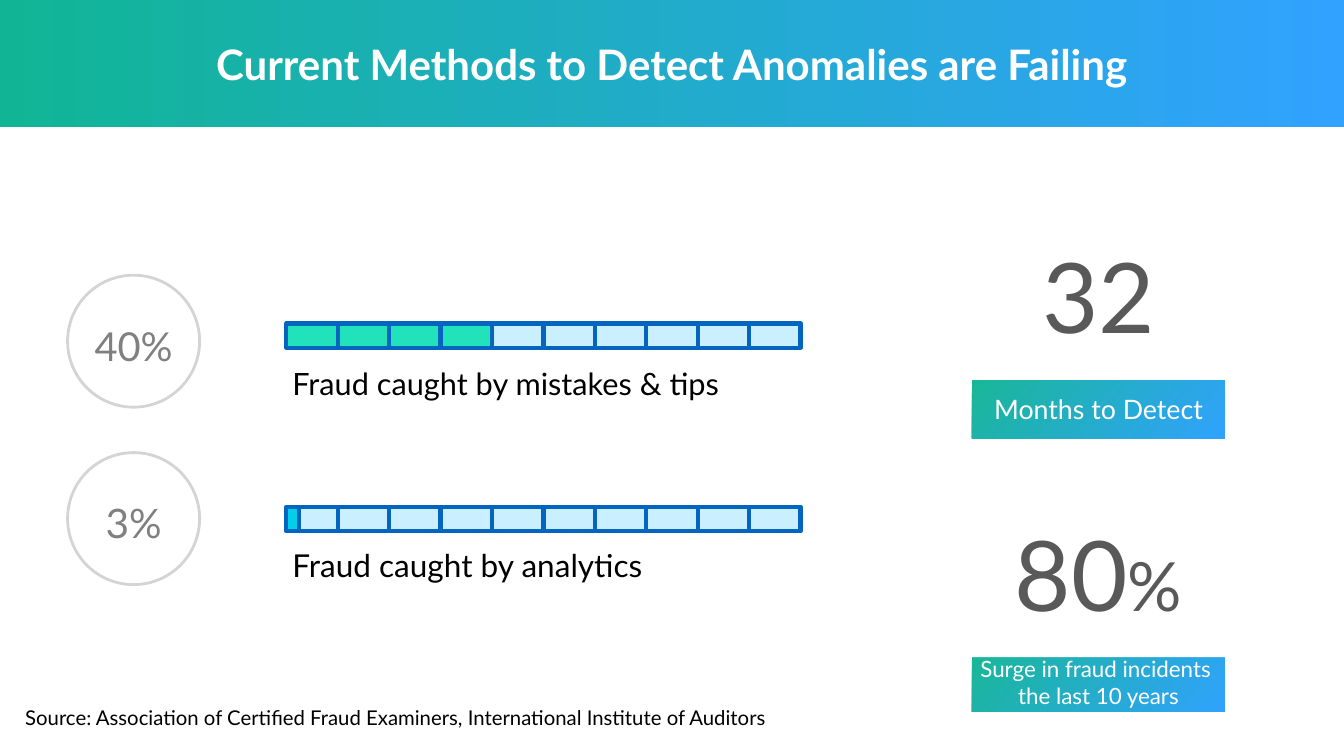
from dataclasses import dataclass

from lxml import etree
from pptx import Presentation, util as u
from pptx.dml.color import RGBColor
from pptx.enum import shapes as kinds, text as txt
from pptx.oxml import ns


@dataclass(frozen=True)
class Theme:
    font: str = "Lato"
    white: str = "FFFFFF"
    black: str = "000000"
    percent_grey: str = "808080"
    figure_grey: str = "595959"
    bar_line: str = "0365C0"
    bar_empty: str = "CAF0FF"
    caught_by_tips: str = "22E2BC"
    caught_by_analytics: str = "04CFEB"
    title_ends: tuple[str, str] = ("11B595", "31A2FF")
    label_ends: tuple[str, str] = ("19B798", "30A2FD")
    title_size: float = 30
    figure_size: float = 69.5
    unit_size: float = 48.5
    source_size: float = 14.5


@dataclass(frozen=True)
class Box:
    left: float
    top: float
    width: float
    height: float

    def inches(self) -> list[u.Length]:
        return [u.Inches(v) for v in (self.left, self.top, self.width, self.height)]


@dataclass(frozen=True)
class Detection:
    percent: str
    percent_size: float
    circle_top: float
    bar_top: float
    filled_cells: float
    color: str
    caption: str
    caption_size: float
    caption_box: Box


@dataclass(frozen=True)
class Statistic:
    figure: str
    unit: str
    figure_top: float
    label_top: float
    label_lines: tuple[str, ...]
    label_size: float


THEME = Theme()
CELLS, CELL_WIDTH, CELL_HEIGHT, BAR_LEFT = 10, 0.51, 0.24, 2.84
CIRCLE_LEFT, CIRCLE_SIZE = 0.67, 1.31
STAT_LEFT, STAT_WIDTH, FIGURE_HEIGHT, LABEL_HEIGHT = 9.64, 2.51, 1.47, 0.58

DETECTIONS = (
    Detection("40%", 28.5, 2.73, 3.21, 4, THEME.caught_by_tips,
              "Fraud caught by mistakes & tips", 21.9, Box(2.86, 3.45, 4.78, 0.7)),
    Detection("3%", 29, 4.49, 5.03, 0.25, THEME.caught_by_analytics,
              "Fraud caught by analytics", 22.5, Box(2.86, 5.29, 4.67, 0.62)),
)
STATISTICS = (
    Statistic("32", "", 2.3, 3.77, ("Months to Detect",), 19.1),
    Statistic("80", "%", 5.05, 6.48, ("Surge in fraud incidents ", "the last 10 years"), 16),
)


def rgb(color: str) -> RGBColor:
    return RGBColor.from_string(color)


def add_plain(shapes, kind, box: Box):
    shape = shapes.add_shape(kind, *box.inches())
    shape.shadow.inherit = False
    shape.line.fill.background()
    return shape


def fill_solid(shape, color: str) -> None:
    shape.fill.solid()
    shape.fill.fore_color.rgb = rgb(color)


def fill_gradient(shape, ends: tuple[str, str], clockwise: int) -> None:
    shape.fill.gradient()
    shape.fill.gradient_angle = -clockwise % 360
    for stop, color in zip(shape.fill.gradient_stops, ends):
        stop.color.rgb = rgb(color)


def set_line(shape, color: str, width: float) -> None:
    shape.line.color.rgb = rgb(color)
    shape.line.width = u.Pt(width)


def set_line_opacity(shape, percent: int) -> None:
    for color in shape.line.fill._xPr.iter(ns.qn("a:srgbClr")):
        etree.SubElement(color, ns.qn("a:alpha"), val=str(percent * 1000))


def write(shape, lines: tuple[str, ...], size: float, color: str, centered: bool = True,
          bold: bool = False, inset: float = 0.04, drop: float = 0) -> None:
    """Write one paragraph a line, middle anchored; drop lowers the text by that many inches."""
    frame = shape.text_frame
    frame.word_wrap = True
    frame.vertical_anchor = txt.MSO_ANCHOR.MIDDLE
    frame.margin_left = frame.margin_right = u.Inches(inset)
    frame.margin_top, frame.margin_bottom = u.Inches(2 * drop), 0
    frame.text = "\n".join(lines)
    for paragraph in frame.paragraphs:
        paragraph.alignment = txt.PP_ALIGN.CENTER if centered else txt.PP_ALIGN.LEFT
        paragraph.font.name = THEME.font
        paragraph.font.size = u.Pt(size)
        paragraph.font.bold = bold
        paragraph.font.color.rgb = rgb(color)


def add_title(shapes, title: str) -> None:
    banner = add_plain(shapes, kinds.MSO_SHAPE.RECTANGLE, Box(0, 0, 13.33, 1.26))
    fill_gradient(banner, THEME.title_ends, 0)
    write(banner, (title,), THEME.title_size, THEME.white, bold=True, inset=0.1)


def add_bar(shapes, top: float, filled_cells: float, color: str) -> None:
    """Draw a row of cells; a partly filled cell gets an empty remainder on top."""
    bar = shapes.add_group_shape().shapes
    full_cells = int(filled_cells)
    part = filled_cells - full_cells
    pieces = [(i, 1, color if i < filled_cells else THEME.bar_empty) for i in range(CELLS)]
    if part:
        pieces.append((filled_cells, 1 - part, THEME.bar_empty))
    for start, share, piece_color in pieces:
        box = Box(BAR_LEFT + start * CELL_WIDTH, top, share * CELL_WIDTH, CELL_HEIGHT)
        cell = add_plain(bar, kinds.MSO_SHAPE.RECTANGLE, box)
        fill_solid(cell, piece_color)
        set_line(cell, THEME.bar_line, 3)


def add_detection(shapes, item: Detection) -> None:
    add_bar(shapes, item.bar_top, item.filled_cells, item.color)
    caption = shapes.add_textbox(*item.caption_box.inches())
    write(caption, (item.caption,), item.caption_size, THEME.black, centered=False)
    circle = add_plain(shapes, kinds.MSO_SHAPE.OVAL,
                       Box(CIRCLE_LEFT, item.circle_top, CIRCLE_SIZE, CIRCLE_SIZE))
    fill_solid(circle, THEME.white)
    set_line(circle, THEME.black, 2)
    set_line_opacity(circle, 16)
    write(circle, (item.percent,), item.percent_size, THEME.percent_grey, drop=0.04)


def add_statistic(shapes, item: Statistic) -> None:
    label = add_plain(shapes, kinds.MSO_SHAPE.RECTANGLE,
                      Box(STAT_LEFT, item.label_top, STAT_WIDTH, LABEL_HEIGHT))
    fill_gradient(label, THEME.label_ends, 40)
    write(label, item.label_lines, item.label_size, THEME.white)

    figure = add_plain(shapes, kinds.MSO_SHAPE.RECTANGLE,
                       Box(STAT_LEFT, item.figure_top, STAT_WIDTH, FIGURE_HEIGHT))
    fill_solid(figure, THEME.white)
    write(figure, (item.figure,), THEME.figure_size, THEME.figure_grey, inset=0)
    paragraph = figure.text_frame.paragraphs[0]
    paragraph.line_spacing = 0.8
    if item.unit:
        unit = paragraph.add_run()
        unit.text = item.unit
        unit.font.size = u.Pt(THEME.unit_size)


def main() -> None:
    deck = Presentation()
    deck.slide_width, deck.slide_height = u.Inches(13.33), u.Inches(7.5)
    shapes = deck.slides.add_slide(deck.slide_layouts[6]).shapes
    add_title(shapes, "Current Methods to Detect Anomalies are Failing")
    for detection in DETECTIONS:
        add_detection(shapes, detection)
    for statistic in STATISTICS:
        add_statistic(shapes, statistic)
    source = shapes.add_textbox(*Box(0.21, 6.96, 9, 0.32).inches())
    write(source, ("Source: Association of Certified Fraud Examiners, "
                   "International Institute of Auditors",),
          THEME.source_size, THEME.black, centered=False)
    deck.save("out.pptx")


if __name__ == "__main__":
    main()
